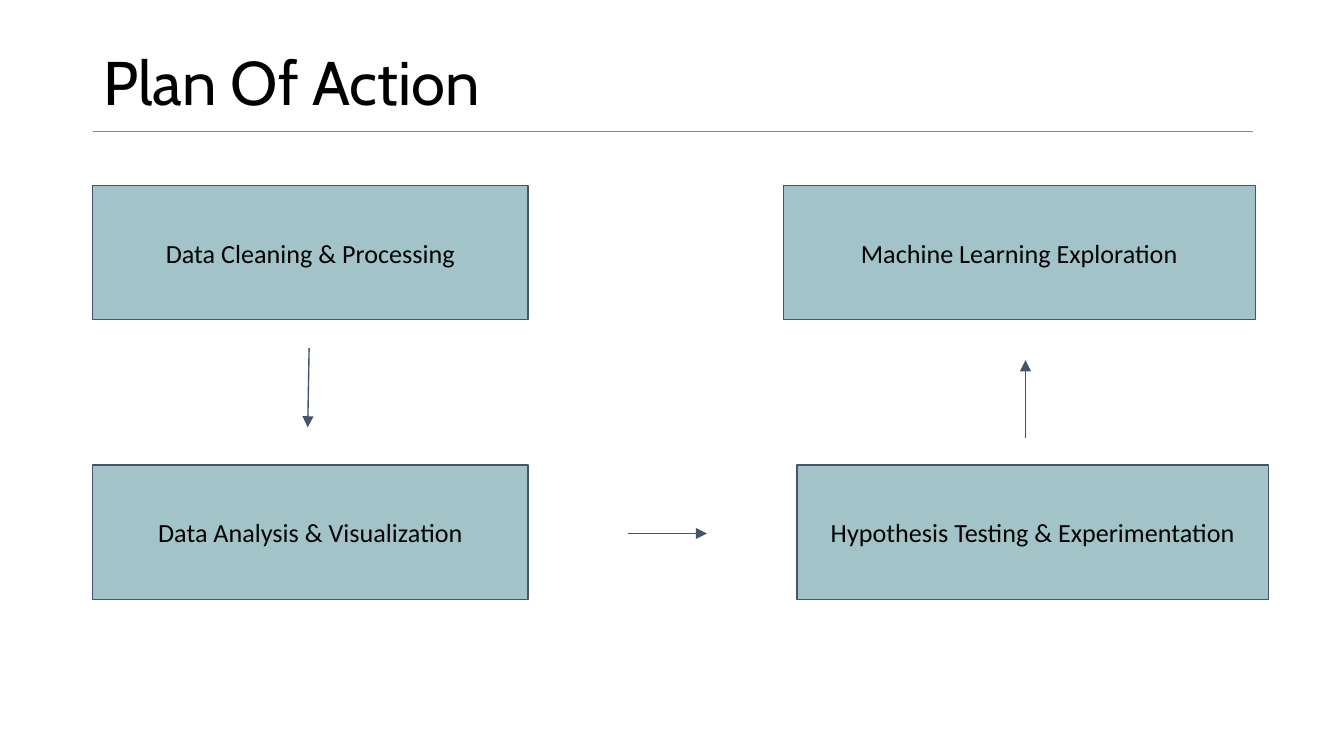
from pptx import Presentation
from pptx.dml.color import RGBColor
from pptx.enum.shapes import MSO_CONNECTOR, MSO_SHAPE
from pptx.enum.text import MSO_ANCHOR, PP_ALIGN
from pptx.oxml.ns import qn
from pptx.util import Inches, Pt
from lxml import etree

BLACK = RGBColor(0x00, 0x00, 0x00)
TEAL = RGBColor(0x3D, 0xAC, 0xA7)
PALE_TEAL = RGBColor(0xA2, 0xC4, 0xC9)
SLATE = RGBColor(0x44, 0x54, 0x6A)

TITLE = "Plan Of Action"
TOP_ROW, BOTTOM_ROW, BOX_HEIGHT = 1.38, 3.46, 1
LEFT, LEFT_WIDTH, RIGHT_WIDTH = 0.69, 3.24, 3.51

# text, left, top, width
STEPS = [
    ("Data Cleaning & Processing", LEFT, TOP_ROW, LEFT_WIDTH),
    ("Data Analysis & Visualization", LEFT, BOTTOM_ROW, LEFT_WIDTH),
    ("Hypothesis Testing & Experimentation", 5.93, BOTTOM_ROW, RIGHT_WIDTH),
    ("Machine Learning Exploration", 5.83, TOP_ROW, RIGHT_WIDTH),
]
# start x, start y, end x, end y
ARROWS = [
    (2.3, 2.59, 2.29, 3.18),
    (7.63, 3.26, 7.63, 2.68),
    (4.67, 3.97, 5.26, 3.97),
]
RULE = (LEFT, 0.98, 9.32, 0.98)


def style_run(p, font, size):
    f = p.runs[0].font
    f.name, f.size = font, Pt(size)
    f.color.rgb = BLACK


def set_margins(tf, x, y):
    tf.margin_left = tf.margin_right = Inches(x)
    tf.margin_top = tf.margin_bottom = Inches(y)


def add_title(s):
    title = s.shapes.title
    title.left, title.top = Inches(LEFT), Inches(0.3)
    title.width, title.height = Inches(7.75), Inches(0.68)
    tf = title.text_frame
    tf.text = TITLE
    tf.vertical_anchor = MSO_ANCHOR.MIDDLE
    set_margins(tf, 0.08, 0.04)
    p = tf.paragraphs[0]
    p.alignment = PP_ALIGN.LEFT
    p.line_spacing = 0.9
    style_run(p, "Cabin", 33)


def add_step(s, label, left, top, width):
    box = s.shapes.add_shape(MSO_SHAPE.RECTANGLE, Inches(left), Inches(top),
                             Inches(width), Inches(BOX_HEIGHT))
    box.shadow.inherit = False
    box.fill.solid()
    box.fill.fore_color.rgb = PALE_TEAL
    box.line.color.rgb = SLATE
    box.line.width = Pt(0.75)
    tf = box.text_frame
    tf.text = label
    tf.word_wrap = True
    tf.vertical_anchor = MSO_ANCHOR.MIDDLE
    set_margins(tf, 0.1, 0.1)
    p = tf.paragraphs[0]
    p.alignment = PP_ALIGN.CENTER
    style_run(p, "Calibri", 14)


def add_line(s, ends, color, arrow=False):
    line = s.shapes.add_connector(MSO_CONNECTOR.STRAIGHT, *map(Inches, ends))
    line.line.color.rgb = color
    line.line.width = Pt(0.75)
    if arrow:
        etree.SubElement(line.get_or_add_ln(), qn("a:tailEnd"),
                         type="triangle")
    etree.SubElement(line._element.spPr, qn("a:effectLst"))


def main():
    prs = Presentation()
    prs.slide_width = Inches(10)
    prs.slide_height = prs.slide_width * 9 // 16
    s = prs.slides.add_slide(prs.slide_layouts[5])
    add_line(s, RULE, TEAL)
    add_title(s)
    for step in STEPS:
        add_step(s, *step)
    for ends in ARROWS:
        add_line(s, ends, SLATE, arrow=True)
    prs.save("out.pptx")


if __name__ == "__main__":
    main()
